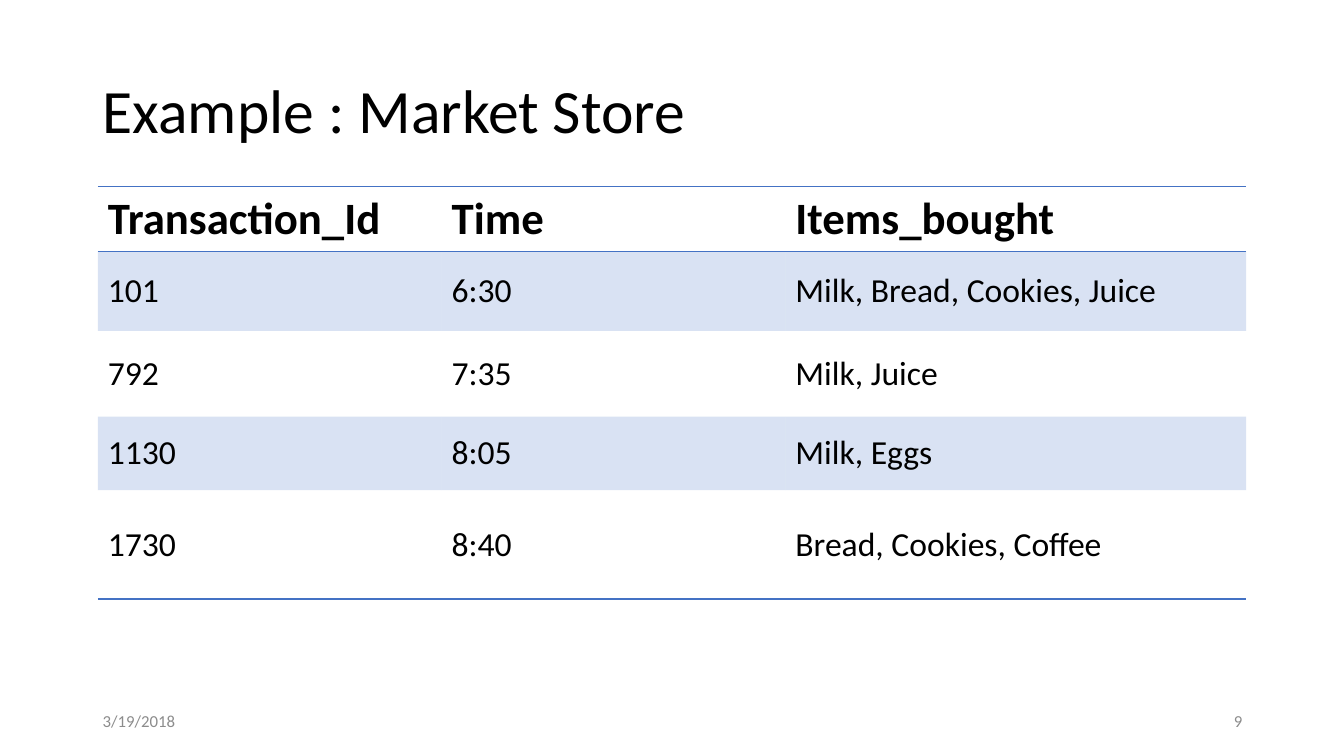
from lxml.etree import SubElement
from pptx import Presentation
from pptx.dml.color import RGBColor
from pptx.enum.text import MSO_ANCHOR as Anchor, PP_ALIGN as Align
from pptx.oxml.ns import qn
from pptx.util import Pt

BLACK = RGBColor(0x00, 0x00, 0x00)
GRAY = RGBColor(0x8C, 0x8C, 0x8C)
BLUE = RGBColor(0x44, 0x72, 0xC4)
PX = 9144  # 100 px to the inch
NO_STYLE = "{2D5ABB26-0587-4C30-8999-92F81FD0307C}"

ROWS = [
    ("Transaction_Id", "Time", "Items_bought"),
    ("101", "6:30", "Milk, Bread, Cookies, Juice"),
    ("792", "7:35", "Milk, Juice"),
    ("1130", "8:05", "Milk, Eggs"),
    ("1730", "8:40", "Bread, Cookies, Coffee"),
]
WIDTHS = (341, 341, 457)
HEIGHTS = (60, 79, 85, 73, 108)
GRID = (97, 185)

HEAD = {"size": Pt(32), "bold": True}
BODY = {"size": Pt(24), "bold": False}
NOTE = {"size": Pt(12)}
TEXTS = [
    ("Example : Market Store", (92, 40, 1150, 145), {"size": Pt(44)},
     BLACK, {"line_spacing": 0.9}),
    ("3/19/2018", (92, 695, 300, 40), NOTE, GRAY, {}),
    ("9", (942, 695, 300, 40), NOTE, GRAY, {"alignment": Align.RIGHT}),
]


def write(frame, text, font, color, para):
    line = frame.paragraphs[0]
    for key, val in para.items():
        setattr(line, key, val)
    run = line.add_run()
    run.text = text
    for key, val in {"name": "Calibri", **font}.items():
        setattr(run.font, key, val)
    run.font.color.rgb = color


def add_text(slide, text, box, font, color, para):
    frame = slide.shapes.add_textbox(*(n * PX for n in box)).text_frame
    frame.word_wrap = True
    frame.vertical_anchor = Anchor.MIDDLE
    write(frame, text, font, color, para)


def rule(cell, side):
    """Draw a thin blue border; call before the cell gets its fill."""
    line = SubElement(cell._tc.get_or_add_tcPr(), qn(f"a:ln{side}"), w=str(Pt(1)))
    fill = SubElement(line, qn("a:solidFill"))
    SubElement(fill, qn("a:srgbClr"), val=str(BLUE))


def shade(cell, band):
    if not band:
        cell.fill.background()
        return
    cell.fill.solid()
    cell.fill.fore_color.rgb = BLUE
    tint = cell._tc.tcPr.find(qn("a:solidFill")).find(qn("a:srgbClr"))
    SubElement(tint, qn("a:alpha"), val="20000")


def add_grid(slide):
    box = (*GRID, sum(WIDTHS), sum(HEIGHTS))
    table = slide.shapes.add_table(
        len(ROWS), len(WIDTHS), *(n * PX for n in box)).table
    table.first_row = table.horz_banding = False
    table._tbl.tblPr.find(qn("a:tableStyleId")).text = NO_STYLE
    for col, width in zip(table.columns, WIDTHS):
        col.width = width * PX
    for i, (row, height) in enumerate(zip(table.rows, HEIGHTS)):
        row.height = height * PX
        sides = "TB" if i == 0 else "B" if i == len(ROWS) - 1 else ""
        for cell, text in zip(row.cells, ROWS[i]):
            cell.vertical_anchor = Anchor.MIDDLE
            for side in sides:
                rule(cell, side)
            shade(cell, i % 2 == 1)
            write(cell.text_frame, text, BODY if i else HEAD, BLACK, {})


def main():
    deck = Presentation()
    deck.slide_width, deck.slide_height = 1333 * PX, 750 * PX
    slide = deck.slides.add_slide(deck.slide_layouts[6])
    add_grid(slide)
    for item in TEXTS:
        add_text(slide, *item)
    deck.save("out.pptx")


if __name__ == "__main__":
    main()
